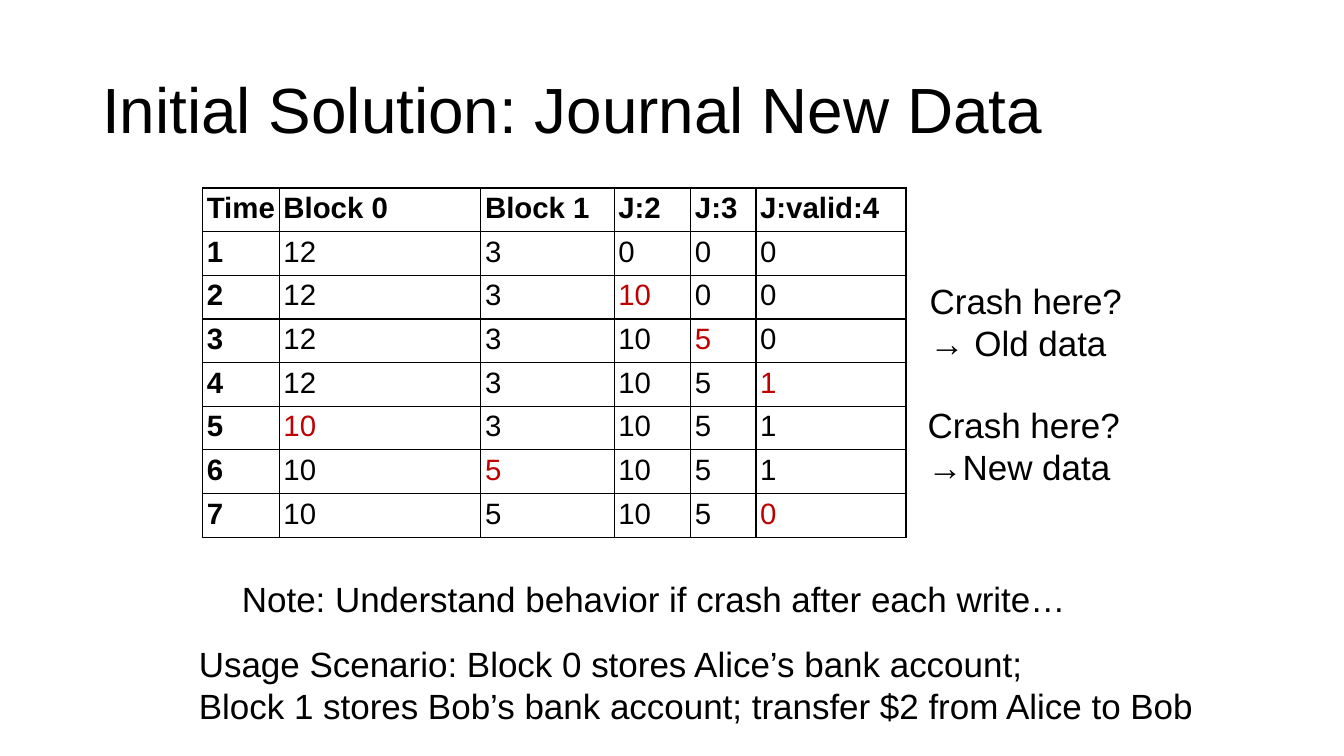
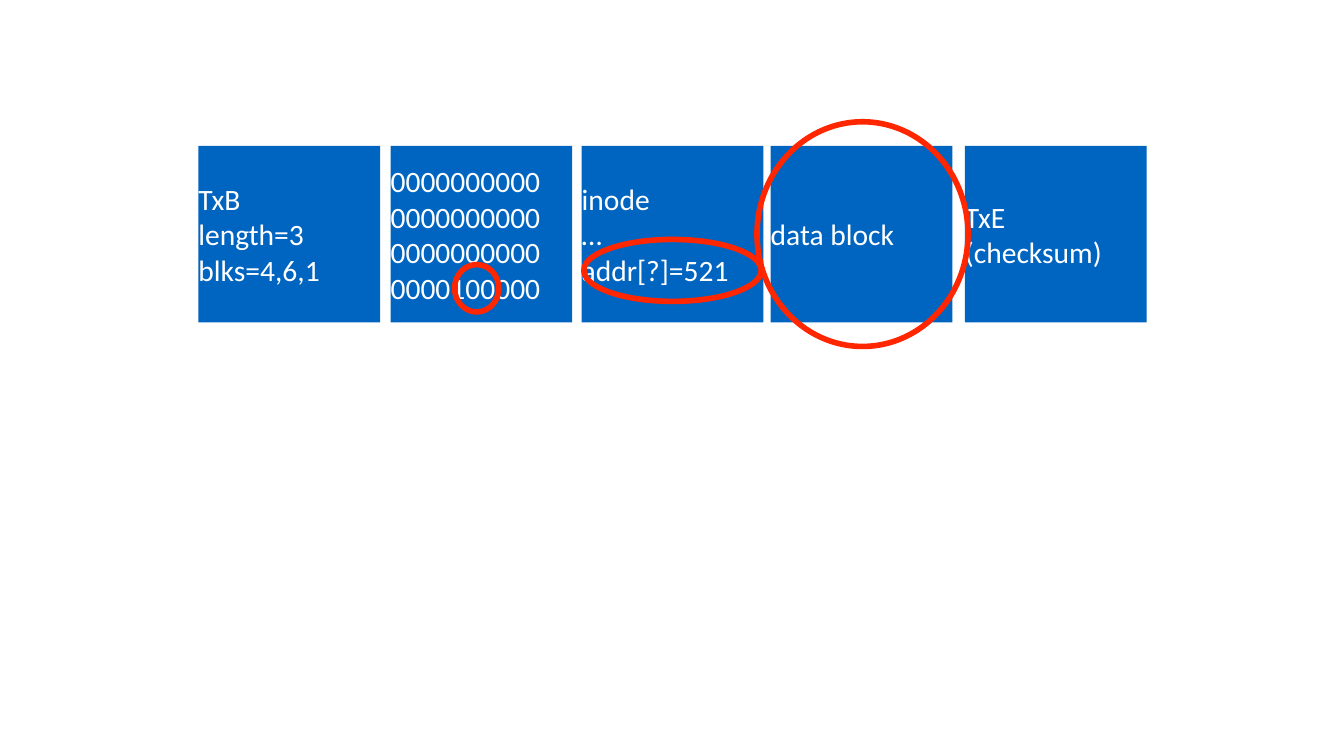
from pptx import Presentation
from pptx.dml.color import RGBColor
from pptx.enum.shapes import MSO_SHAPE as Shape
from pptx.enum.text import MSO_ANCHOR as Anchor, PP_ALIGN as Align
from pptx.oxml import parse_xml
from pptx.oxml.ns import nsdecls
from pptx.util import Pt

SCALE = 9525  # EMU in one px


def px(*sizes):
    return [size * SCALE for size in sizes]


def color(code):
    return RGBColor.from_string(code)


class Deck:
    sans, body = "Arial", "Calibri"
    ink, paper, mark, blue, ring = "000000", "FFFFFF", "C00000", "0065C1", "FF2600"

    def __init__(self):
        self.prs = Presentation()
        self.prs.slide_width, self.prs.slide_height = px(1280, 720)
        self.slide = None

    def page(self):
        self.slide = self.prs.slides.add_slide(self.prs.slide_layouts[6])

    def label(self, frame, text, size, face, code, bold=False):
        """Fill a text frame, one paragraph per line of text."""
        frame.word_wrap = True
        frame.text = text
        for para in frame.paragraphs:
            para.alignment = Align.LEFT
            font = para.font
            font.size, font.name, font.bold = Pt(size), face, bold
            font.color.rgb = color(code)

    def text(self, box, text, size=25):
        frame = self.slide.shapes.add_textbox(*px(*box)).text_frame
        self.label(frame, text, size, self.sans, self.ink)
        return frame

    def title(self, text):
        frame = self.text((88, 38, 1104, 139), text, 45.6)
        frame.vertical_anchor = Anchor.MIDDLE
        frame.paragraphs[0].line_spacing = 0.9

    def block(self, box, text):
        shape = self.slide.shapes.add_shape(Shape.RECTANGLE, *px(*box))
        shape.shadow.inherit = False
        shape.fill.solid()
        shape.fill.fore_color.rgb = color(self.blue)
        shape.line.fill.background()
        frame = shape.text_frame
        frame.margin_left = frame.margin_right = 0
        frame.margin_top = frame.margin_bottom = 0
        frame.vertical_anchor = Anchor.MIDDLE
        self.label(frame, text, 21.1, self.body, self.paper)

    def circle(self, box):
        shape = self.slide.shapes.add_shape(Shape.OVAL, *px(*box))
        shape.shadow.inherit = False
        shape.fill.background()
        shape.line.color.rgb = color(self.ring)
        shape.line.width = Pt(4)

    def cell(self, cell, text, code, bold):
        cell.margin_left, cell.margin_right = px(4, 2)
        cell.margin_top, cell.margin_bottom = px(4, 4)
        self.label(cell.text_frame, text, 21, self.sans, code, bold)
        props = cell._tc.get_or_add_tcPr()
        for side in "LRTB":
            props.append(parse_xml(
                f'<a:ln{side} {nsdecls("a")} w="{Pt(1)}"><a:solidFill>'
                f'<a:srgbClr val="{self.ink}"/></a:solidFill></a:ln{side}>'))
        cell.fill.background()

    def table(self, left, top, height, widths, rows):
        """Draw a grid that marks each value changed since the row above."""
        grid = self.slide.shapes.add_table(
            len(rows), len(widths), *px(left, top, sum(widths), height)).table
        grid.first_row = grid.horz_banding = False
        for col, width in zip(grid.columns, px(*widths)):
            col.width = width
        for r, row in enumerate(rows):
            for c, value in enumerate(row):
                fresh = r > 1 and c > 0 and value != rows[r - 1][c]
                self.cell(grid.cell(r, c), str(value),
                          self.mark if fresh else self.ink, r == 0 or c == 0)


def journal(deck):
    deck.page()
    deck.title("Initial Solution: Journal New Data")
    deck.table(193, 179, 330, (73, 192, 127, 73, 62, 143), [
        ("Time", "Block 0", "Block 1", "J:2", "J:3", "J:valid:4"),
        (1, 12, 3, 0, 0, 0),
        (2, 12, 3, 10, 0, 0),
        (3, 12, 3, 10, 5, 0),
        (4, 12, 3, 10, 5, 1),
        (5, 10, 3, 10, 5, 1),
        (6, 10, 5, 10, 5, 1),
        (7, 10, 5, 10, 5, 0),
    ])
    deck.text((876, 261, 220, 90), "Crash here?\n→ Old data")
    deck.text((874, 380, 220, 90), "Crash here?\n→New data")
    deck.text((180, 607, 990, 90),
              "Usage Scenario: Block 0 stores Alice’s bank account;\n"
              "Block 1 stores Bob’s bank account; transfer $2 from Alice to Bob")
    deck.text((221, 545, 837, 50),
              "Note: Understand behavior if crash after each write…")


def blocks(deck):
    deck.page()
    zeros = "0000000000\n" * 3
    for left, text in (
        (189, "TxB\nlength=3\nblks=4,6,1"),
        (372, zeros + "0000100000"),
        (554, "inode\n…\naddr[?]=521"),
        (734, "data block"),
        (919, "TxE\n(checksum)"),
    ):
        deck.block((left, 139, 173, 168), text)
    for box in ((556, 228, 169, 59), (721, 116, 201, 214), (433, 252, 42, 45)):
        deck.circle(box)


def main():
    deck = Deck()
    journal(deck)
    blocks(deck)
    deck.prs.save("out.pptx")


if __name__ == "__main__":
    main()
